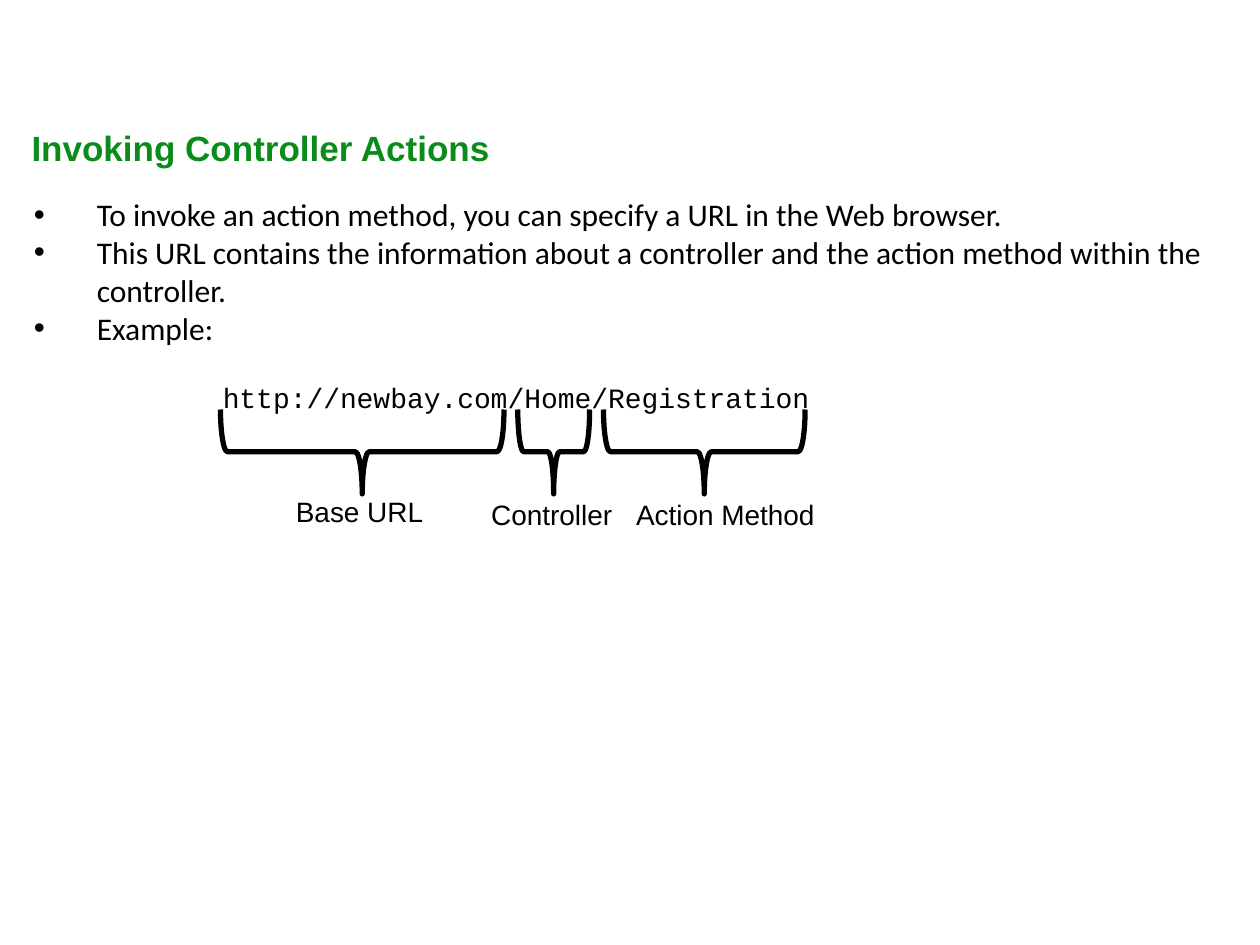
from dataclasses import dataclass

from lxml import etree
from pptx import Presentation, util as u
from pptx.dml.color import RGBColor
from pptx.enum import shapes, text
from pptx.oxml.ns import qn

BLACK = "000000"
GREEN = "0B8B1A"
BRACE_TOP = 3.25
BRACE_DEPTH = 0.67


@dataclass
class UrlPart:
    label: str
    brace_left: float
    brace_width: float
    label_left: float
    label_top: float
    label_width: float


BULLETS = [
    "To invoke an action method, you can specify a URL in the Web browser.",
    "This URL contains the information about a controller and the action method within the controller.",
    "Example:",
]
URL = "http://newbay.com/Home/Registration"
URL_PARTS = [
    UrlPart("Base URL", 1.75, 2.25, 2.25, 3.88, 1.42),
    UrlPart("Controller", 4.11, 0.57, 3.8, 3.9, 1.42),
    UrlPart("Action Method", 4.79, 1.6, 4.95, 3.9, 1.67),
]


def color(value: str) -> RGBColor:
    return RGBColor.from_string(value)


def write(p, content: str, font: str, size: float, fill: str = BLACK, bold: bool = False) -> None:
    r = p.add_run()
    r.text = content
    for name, value in {"name": font, "size": u.Pt(size), "bold": bold}.items():
        setattr(r.font, name, value)
    r.font.color.rgb = color(fill)


def place(sp, left: float, top: float, width: float, height: float) -> None:
    box = {"left": left, "top": top, "width": width, "height": height}
    for name, value in box.items():
        setattr(sp, name, u.Inches(value))


def format_frame(tf, wrap: bool = True) -> None:
    values = {
        "word_wrap": wrap,
        "auto_size": text.MSO_AUTO_SIZE.NONE,
        "vertical_anchor": text.MSO_ANCHOR.TOP,
    }
    for name, value in values.items():
        setattr(tf, name, value)


def add_text_frame(s, left: float, top: float, width: float, height: float):
    sp = s.shapes.add_textbox(*map(u.Inches, (left, top, width, height)))
    format_frame(sp.text_frame)
    return sp.text_frame


def indent(p, margin: float, first_line: float) -> None:
    pPr = p._p.get_or_add_pPr()
    pPr.set("marL", str(u.Inches(margin)))
    pPr.set("indent", str(u.Inches(first_line)))


def add_bullet(p) -> None:
    indent(p, 0.5, -0.5)
    pPr = p._p.get_or_add_pPr()
    etree.SubElement(pPr, qn("a:buFont")).set("typeface", "Arial")
    etree.SubElement(pPr, qn("a:buChar")).set("char", "•")


def add_title(s) -> None:
    sp = s.shapes.title
    place(sp, 0.15, 0.95, 3.85, 0.44)
    format_frame(sp.text_frame, wrap=False)
    p = sp.text_frame.paragraphs[0]
    p.alignment = text.PP_ALIGN.LEFT
    write(p, "Invoking Controller Actions", "Arial", 20, GREEN, True)


def add_body(s) -> None:
    tf = add_text_frame(s, 0.17, 1.5, 9.5, 4.42)
    for i, content in enumerate(BULLETS):
        p = tf.add_paragraph() if i else tf.paragraphs[0]
        add_bullet(p)
        write(p, content, "Calibri", 18)
    p = tf.add_paragraph()
    indent(p, 1.5, 0)
    p.space_before = u.Pt(19.5)
    write(p, URL, "Courier New", 16)


def add_url_part(s, part: UrlPart) -> None:
    left = part.brace_left + (part.brace_width - BRACE_DEPTH) / 2
    top = BRACE_TOP + (BRACE_DEPTH - part.brace_width) / 2
    sp = s.shapes.add_shape(
        shapes.MSO_SHAPE.LEFT_BRACE,
        *map(u.Inches, (left, top, BRACE_DEPTH, part.brace_width)),
    )
    sp.rotation = 270
    sp.shadow.inherit = False
    sp.fill.background()
    sp.line.color.rgb = color(BLACK)
    sp.line.width = u.Pt(3)
    tf = add_text_frame(s, part.label_left, part.label_top, part.label_width, 0.37)
    write(tf.paragraphs[0], part.label, "Arial", 16)


def main() -> None:
    prs = Presentation()
    prs.slide_width, prs.slide_height = u.Inches(10), u.Inches(7.5)
    s = prs.slides.add_slide(prs.slide_layouts[5])
    add_title(s)
    add_body(s)
    for part in URL_PARTS:
        add_url_part(s, part)
    prs.save("out.pptx")


if __name__ == "__main__":
    main()
